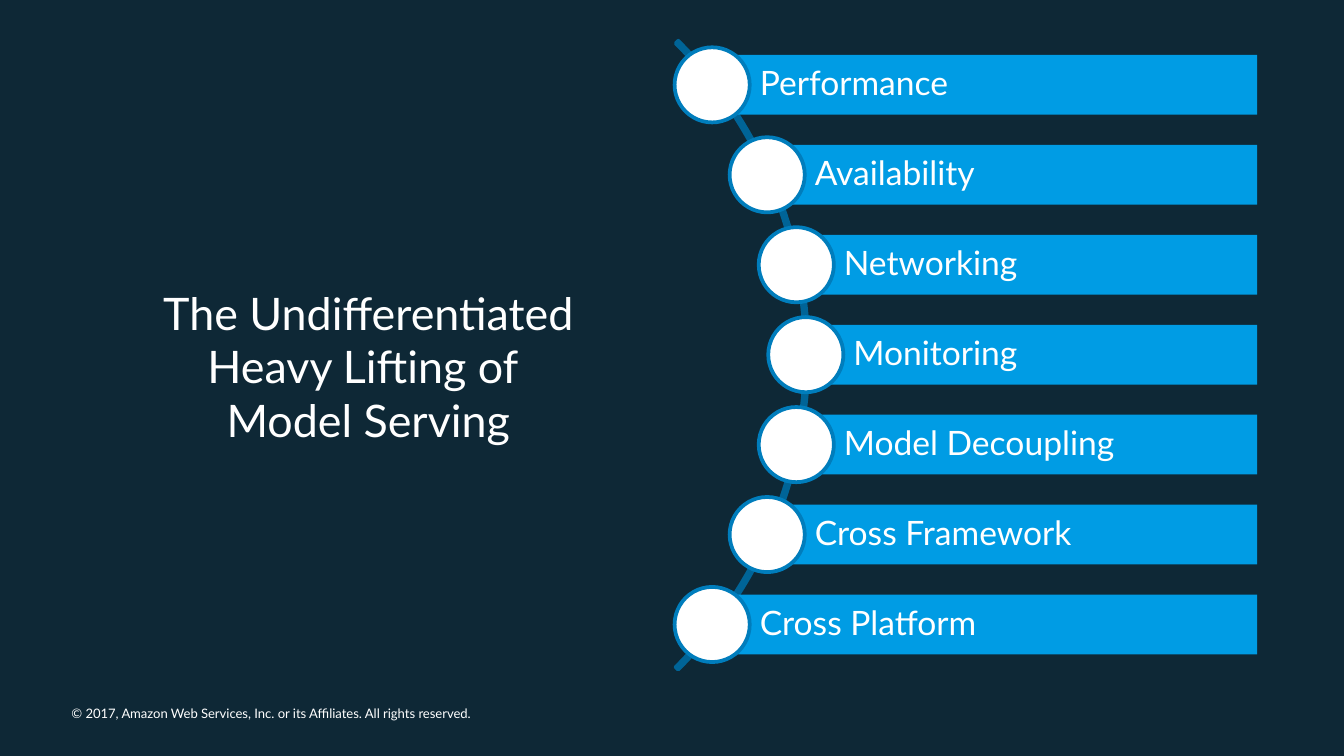
from pptx import Presentation
from pptx.dml.color import RGBColor
from pptx.enum.shapes import MSO_SHAPE
from pptx.enum.text import MSO_ANCHOR, PP_ALIGN
from pptx.util import Cm, Pt

COLORS = {
    "background": "0E2836",
    "bar": "009CE4",
    "ring": "007DBC",
    "arc": "006497",
    "white": "FFFFFF",
}
TOPICS = [
    ("Performance", 13.46),
    ("Availability", 14.5),
    ("Networking", 15.05),
    ("Monitoring", 15.23),
    ("Model Decoupling", 15.05),
    ("Cross Framework", 14.5),
    ("Cross Platform", 13.46),
]
BAR_TOP, BAR_HEIGHT, BAR_RIGHT, PITCH = 1.04, 1.13, 23.76, 1.7
CIRCLE = 1.42


def add_shape(kind, left, top, width, height, fill=None, line=None):
    sp = s.shapes.add_shape(kind, Cm(left), Cm(top), Cm(width), Cm(height))
    sp.shadow.inherit = False
    if fill:
        sp.fill.solid()
        sp.fill.fore_color.rgb = RGBColor.from_string(COLORS[fill])
    else:
        sp.fill.background()
    if line:
        sp.line.color.rgb = RGBColor.from_string(COLORS[line])
        sp.line.width = Pt(2)
    else:
        sp.line.fill.background()
    return sp


def set_text(sp, text, size, align=PP_ALIGN.LEFT, anchor=MSO_ANCHOR.MIDDLE):
    tf = sp.text_frame
    tf.word_wrap = True
    tf.vertical_anchor = anchor
    tf.text = text
    p = tf.paragraphs[0]
    p.alignment = align
    for r in p.runs:
        r.font.name = "Lato"
        r.font.size = Pt(size)
        r.font.color.rgb = RGBColor.from_string(COLORS["white"])
    return tf


prs = Presentation()
prs.slide_width = Cm(25.4)
prs.slide_height = Cm(14.29)
s = prs.slides.add_slide(prs.slide_layouts[6])
s.background.fill.solid()
s.background.fill.fore_color.rgb = RGBColor.from_string(COLORS["background"])

footer = s.shapes.add_textbox(Cm(1.35), Cm(13.33), Cm(8.4), Cm(0.3))
tf = set_text(
    footer,
    "© 2017, Amazon Web Services, Inc. or its Affiliates. All rights reserved.",
    7,
    anchor=MSO_ANCHOR.TOP,
)
tf.margin_left = tf.margin_right = tf.margin_top = tf.margin_bottom = 0

arc = add_shape(MSO_SHAPE.BLOCK_ARC, -1.53, -1.69, 16.81, 16.81, line="arc")
for i, value in enumerate((189, 27, 0.004)):
    arc.adjustments[i] = value

for i, (topic, left) in enumerate(TOPICS):
    top = BAR_TOP + i * PITCH
    bar = add_shape(MSO_SHAPE.RECTANGLE, left, top, BAR_RIGHT - left, BAR_HEIGHT, "bar")
    tf = set_text(bar, topic, 18)
    tf.margin_left = Cm(0.9)
    tf.margin_right = tf.margin_top = tf.margin_bottom = Cm(0.12)
    tf.paragraphs[0].line_spacing = 0.9
    add_shape(
        MSO_SHAPE.OVAL,
        left - CIRCLE / 2,
        top + (BAR_HEIGHT - CIRCLE) / 2,
        CIRCLE,
        CIRCLE,
        "white",
        "ring",
    )

title = s.shapes.add_textbox(Cm(1.98), Cm(4.09), Cm(9.96), Cm(5.66))
set_text(
    title,
    "The Undifferentiated Heavy Lifting of \vModel Serving",
    24,
    PP_ALIGN.CENTER,
)

prs.save("out.pptx")
